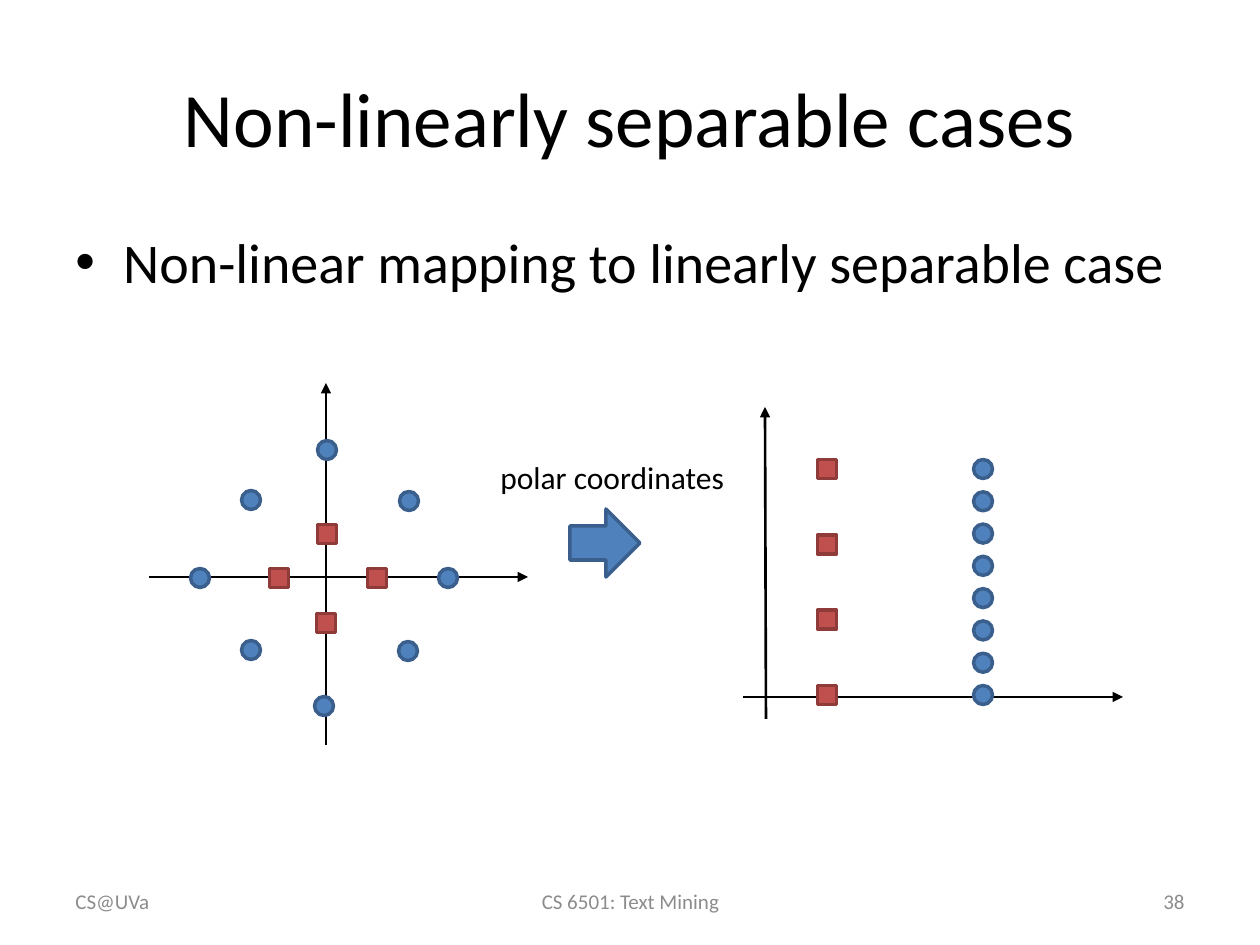
import pptx
import pptx.util
import pptx.dml.color
import pptx.enum.shapes
import pptx.enum.text
import pptx.oxml
import pptx.oxml.ns

PX = 914400 / 126
SHAPE = pptx.enum.shapes.MSO_SHAPE
ALIGN = pptx.enum.text.PP_ALIGN
ANCHOR = pptx.enum.text.MSO_ANCHOR
COLORS = {"text": "000000", "footer": "8C8C8C", "blue": "4F81BD",
          "blue_edge": "3A5F8C", "red": "C0504D", "red_edge": "8E3B39"}

TITLE = "Non-linearly separable cases"
BULLET = "Non-linear mapping to linearly separable case"
FOOTERS = [("CS@UVa", 63, 294, ALIGN.LEFT),
           ("CS 6501: Text Mining", 431, 399, ALIGN.CENTER),
           ("38", 903, 294, ALIGN.RIGHT)]
AXES = [(149, 577, 528, 577), (326, 745, 326, 383),
        (743, 697, 1123, 697), (766, 719, 765, 407)]

# Marker centres: Cartesian plot on the left, polar plot on the right
MARKER = 19
CIRCLES = [(200, 578), (448, 578), (324, 706), (327, 450),
           (251, 500), (409, 501), (251, 650), (408, 651)]
SQUARES = [(279, 578), (377, 578), (327, 534), (326, 623)]
POLAR_TOP, POLAR_BOTTOM = 469, 695
POLAR_SQUARE_X, POLAR_CIRCLE_X = 827, 983


def emu(*lengths):
    return [round(v * PX) for v in lengths]


def rgb(name):
    return pptx.dml.color.RGBColor.from_string(COLORS[name])


def set_text(tf, text, size, color="text", align=ALIGN.LEFT, anchor=ANCHOR.TOP):
    tf.text = text
    tf.vertical_anchor = anchor
    p = tf.paragraphs[0]
    p.alignment = align
    font = p.runs[0].font
    font.name, font.size = "Calibri", pptx.util.Pt(size)
    font.color.rgb = rgb(color)
    return p


def add_text(s, box, text, size, wrap=True, **style):
    tf = s.shapes.add_textbox(*emu(*box)).text_frame
    tf.word_wrap = wrap
    return set_text(tf, text, size, **style)


def add_bullet(p, indent):
    pPr = p._p.get_or_add_pPr()
    pPr.set("marL", str(indent))
    pPr.set("indent", str(-indent))
    ns = pptx.oxml.ns.nsdecls("a")
    pPr.append(pptx.oxml.parse_xml(f'<a:buFont {ns} typeface="Arial"/>'))
    pPr.append(pptx.oxml.parse_xml(f'<a:buChar {ns} char="•"/>'))


def add_axis(s, ends):
    line = s.shapes.add_connector(pptx.enum.shapes.MSO_CONNECTOR.STRAIGHT, *emu(*ends))
    line.line.width = pptx.util.Pt(1.5)
    line.line.color.rgb = rgb("text")
    ns = pptx.oxml.ns.nsdecls("a")
    line.line._get_or_add_ln().append(
        pptx.oxml.parse_xml(f'<a:tailEnd {ns} type="triangle"/>'))
    line._element.spPr.append(pptx.oxml.parse_xml(f"<a:effectLst {ns}/>"))


def add_filled(s, kind, box, color):
    shape = s.shapes.add_shape(kind, *emu(*box))
    shape.shadow.inherit = False
    shape.fill.solid()
    shape.fill.fore_color.rgb = rgb(color)
    shape.line.color.rgb = rgb(color + "_edge")
    shape.line.width = pptx.util.Pt(2)


def add_markers(s, kind, centres, color):
    for x, y in centres:
        add_filled(s, kind, (x - MARKER / 2, y - MARKER / 2, MARKER, MARKER), color)


def polar_column(x, count):
    step = (POLAR_BOTTOM - POLAR_TOP) / (count - 1)
    return [(x, POLAR_TOP + i * step) for i in range(count)]


def main():
    prs = pptx.Presentation()
    prs.slide_width, prs.slide_height = emu(1260, 945)
    s = prs.slides.add_slide(prs.slide_layouts[5])

    title = s.shapes.title
    title.left, title.top, title.width, title.height = emu(63, 38, 1134, 158)
    set_text(title.text_frame, TITLE, 44, align=ALIGN.CENTER, anchor=ANCHOR.MIDDLE)
    add_bullet(add_text(s, (63, 221, 1134, 624), BULLET, 32), pptx.util.Inches(0.38))
    for text, x, width, align in FOOTERS:
        add_text(s, (x, 876, width, 50), text, 12, color="footer",
                 align=align, anchor=ANCHOR.MIDDLE)

    for ends in AXES:
        add_axis(s, ends)
    squares = SQUARES + polar_column(POLAR_SQUARE_X, len(SQUARES))
    circles = CIRCLES + polar_column(POLAR_CIRCLE_X, len(CIRCLES))
    add_markers(s, SHAPE.RECTANGLE, squares, "red")
    add_markers(s, SHAPE.OVAL, circles, "blue")

    add_filled(s, SHAPE.RIGHT_ARROW, (570, 509, 70, 68), "blue")
    add_text(s, (488, 452, 252, 50), "polar coordinates", 18, wrap=False)
    prs.save("out.pptx")


if __name__ == "__main__":
    main()
